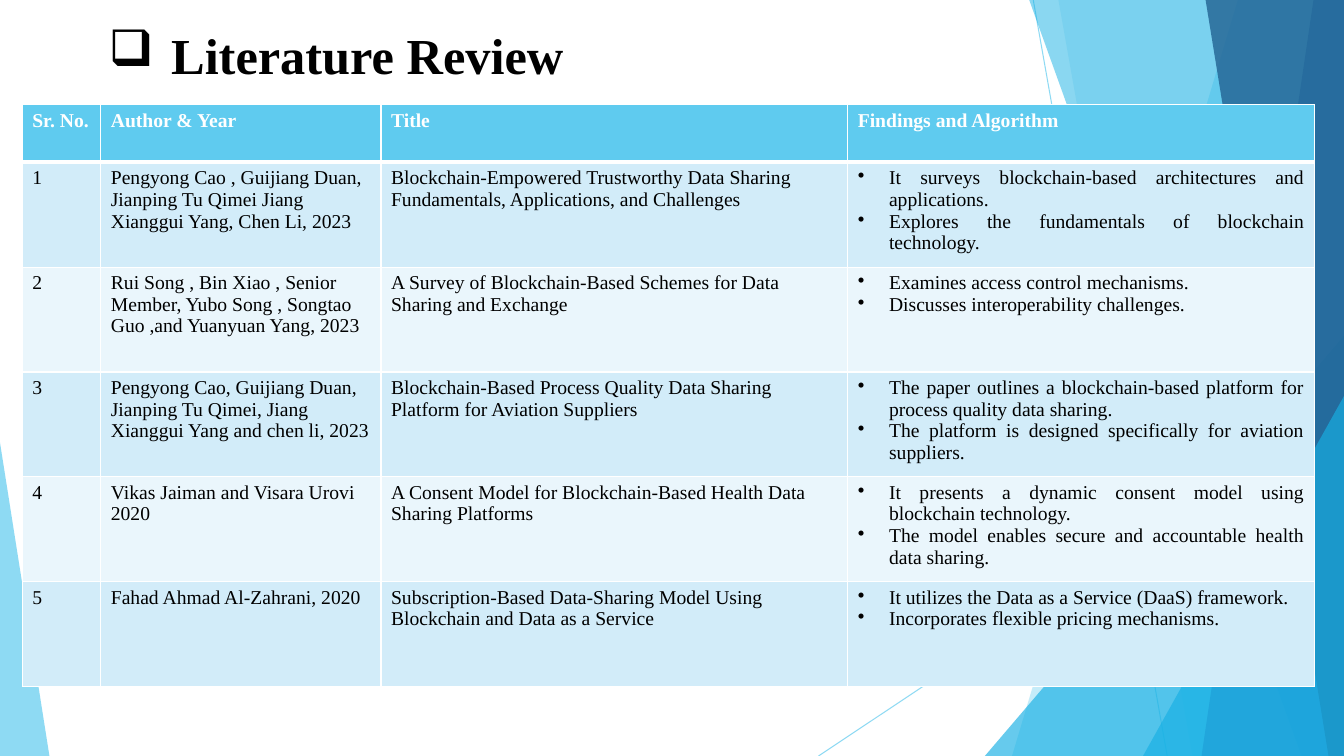
import pptx
import pptx.dml.color
import pptx.enum.shapes
import pptx.enum.text
import pptx.oxml.ns
import pptx.util
from lxml import etree

WIDTH, HEIGHT = pptx.util.Inches(13.33), pptx.util.Inches(7.5)
FONT = "Times New Roman"
SKY, CYAN, BLUE, NAVY = "5FCBEF", "17B0E4", "2E83C3", "226292"
WHITE, BLACK = "FFFFFF", "000000"
ROW_FILLS = ["D2ECF9", "EAF6FC"]

# Lengths are percentages of the slide's width or height.
THIN_LINES = [((76.88, 0), (86.85, 100)), ((100, 53.73), (60.9, 100))]
# Bands reach the right edge: left end at the top, at the bottom, colour, opacity.
BANDS_BEHIND = [(92.1, 75.3, SKY, 36), (78.75, 88.73, SKY, 20)]
BANDS_FRONT = [(76.58, 96.83, CYAN, 50), (97.73, 89.4, BLUE, 70), (89.7, 98.85, NAVY, 80)]

COLUMNS = [5.85, 20.85, 34.73, 34.73]
HEADER_HEIGHT, ROW_HEIGHT = 7.6, 13.87
HEADINGS = ["Sr. No.", "Author & Year", "Title", "Findings and Algorithm"]
PAPERS = [
    ("Pengyong Cao , Guijiang Duan, Jianping Tu Qimei Jiang Xianggui Yang, Chen Li, 2023",
     "Blockchain-Empowered Trustworthy Data Sharing Fundamentals, Applications, and Challenges",
     ["It surveys blockchain-based architectures and applications.",
      "Explores the fundamentals of blockchain technology."]),
    ("Rui Song , Bin Xiao , Senior Member, Yubo Song , Songtao Guo ,and Yuanyuan Yang, 2023",
     "A Survey of Blockchain-Based Schemes for Data Sharing and Exchange",
     ["Examines access control mechanisms.",
      "Discusses interoperability challenges."]),
    ("Pengyong Cao, Guijiang Duan, Jianping Tu Qimei, Jiang Xianggui Yang and chen li, 2023",
     "Blockchain-Based Process Quality Data Sharing Platform for Aviation Suppliers",
     ["The paper outlines a blockchain-based platform for process quality data sharing.",
      "The platform is designed specifically for aviation suppliers."]),
    ("Vikas Jaiman and Visara Urovi 2020",
     "A Consent Model for Blockchain-Based Health Data Sharing Platforms",
     ["It presents a dynamic consent model using blockchain technology.",
      "The model enables secure and accountable health data sharing."]),
    ("Fahad Ahmad Al-Zahrani, 2020",
     "Subscription-Based Data-Sharing Model Using Blockchain and Data as a Service",
     ["It utilizes the Data as a Service (DaaS) framework.",
      "Incorporates flexible pricing mechanisms."]),
]


def across(share):
    return round(WIDTH * share / 100)


def down(share):
    return round(HEIGHT * share / 100)


def color(code):
    return pptx.dml.color.RGBColor.from_string(code)


def add_element(parent, tag, **attributes):
    element = etree.SubElement(parent, pptx.oxml.ns.qn(tag))
    for name, value in attributes.items():
        element.set(name, str(value))
    return element


def set_opacity(fill, opacity):
    add_element(fill.fore_color._xFill[0], "a:alpha", val=opacity * 1000)


def paint(shape, code, opacity):
    shape.shadow.inherit = False
    shape.line.fill.background()
    shape.fill.solid()
    shape.fill.fore_color.rgb = color(code)
    set_opacity(shape.fill, opacity)


def add_thin_line(page, start, end):
    line = page.shapes.add_connector(
        pptx.enum.shapes.MSO_CONNECTOR.STRAIGHT,
        across(start[0]), down(start[1]), across(end[0]), down(end[1]))
    line.line.width = pptx.util.Pt(0.75)
    line.line.color.rgb = color(SKY)
    set_opacity(line.line.fill, 70)
    add_element(line._element.spPr, "a:effectLst")


def add_band(page, top_x, bottom_x, code, opacity):
    outline = page.shapes.build_freeform(across(top_x), 0)
    outline.add_line_segments(
        [(WIDTH, 0), (WIDTH, HEIGHT), (across(bottom_x), HEIGHT)], close=True)
    paint(outline.convert_to_shape(), code, opacity)


def add_corner(page, left, top, width, apex, code, opacity):
    """A triangle standing on the bottom edge of the slide."""
    corner = page.shapes.add_shape(
        pptx.enum.shapes.MSO_SHAPE.ISOSCELES_TRIANGLE,
        across(left), down(top), across(width), down(100 - top))
    corner.adjustments[0] = apex
    paint(corner, code, opacity)


def add_text(para, text, size, code, bold=False):
    span = para.add_run()
    span.text = text
    span.font.name = FONT
    span.font.size = pptx.util.Pt(size)
    span.font.bold = bold
    span.font.color.rgb = color(code)


def add_bullet(para, symbol, indent):
    properties = para._p.get_or_add_pPr()
    properties.set("marL", str(pptx.util.Inches(indent)))
    properties.set("indent", str(-pptx.util.Inches(indent)))
    add_element(properties, "a:buChar", char=symbol)


def add_title(page):
    box = page.shapes.add_textbox(across(7.35), down(2.53), across(53.63), down(9.47))
    box.text_frame.word_wrap = True
    para = box.text_frame.paragraphs[0]
    add_bullet(para, "❑", 0.62)
    add_text(para, "Literature Review", 36, BLACK, bold=True)


def style_cell(cell, code, bottom_width):
    properties = cell._tc.get_or_add_tcPr()
    for side, width in zip("LRTB", [1, 1, 1, bottom_width]):
        border = add_element(properties, "a:ln" + side, w=pptx.util.Pt(width))
        add_element(add_element(border, "a:solidFill"), "a:srgbClr", val=WHITE)
    cell.fill.solid()
    cell.fill.fore_color.rgb = color(code)


def fill_findings(cell, findings):
    for index, finding in enumerate(findings):
        frame = cell.text_frame
        para = frame.add_paragraph() if index else frame.paragraphs[0]
        para.alignment = pptx.enum.text.PP_ALIGN.JUSTIFY
        add_bullet(para, "•", 0.31)
        add_text(para, finding, 14, BLACK)


def add_review_table(page):
    heights = [HEADER_HEIGHT] + [ROW_HEIGHT] * len(PAPERS)
    table = page.shapes.add_table(
        len(heights), len(COLUMNS), across(1.65), down(13.87),
        across(sum(COLUMNS)), down(sum(heights))).table
    for column, width in zip(table.columns, COLUMNS):
        column.width = across(width)
    for row, height in zip(table.rows, heights):
        row.height = down(height)

    # Heading row
    for cell, heading in zip(table.rows[0].cells, HEADINGS):
        style_cell(cell, SKY, 3)
        add_text(cell.text_frame.paragraphs[0], heading, 14, WHITE, bold=True)

    # One row for each paper
    for number, (authors, title, findings) in enumerate(PAPERS, start=1):
        cells = list(table.rows[number].cells)
        for cell in cells:
            style_cell(cell, ROW_FILLS[(number - 1) % 2], 1)
        for cell, text in zip(cells, [str(number), authors, title]):
            add_text(cell.text_frame.paragraphs[0], text, 14, BLACK)
        fill_findings(cells[3], findings)


def main():
    deck = pptx.Presentation()
    deck.slide_width, deck.slide_height = WIDTH, HEIGHT
    page = deck.slides.add_slide(deck.slide_layouts[6])

    # Backdrop, from back to front
    for start, end in THIN_LINES:
        add_thin_line(page, start, end)
    for band in BANDS_BEHIND:
        add_band(page, *band)
    add_corner(page, 73.28, 44.4, 26.72, 1, CYAN, 66)
    for band in BANDS_FRONT:
        add_band(page, *band)
    add_corner(page, 85.05, 52.4, 14.95, 1, CYAN, 66)
    add_corner(page, 0, 58.53, 3.68, 0, SKY, 70)

    # Content
    add_title(page)
    add_review_table(page)
    deck.save("out.pptx")


if __name__ == "__main__":
    main()
